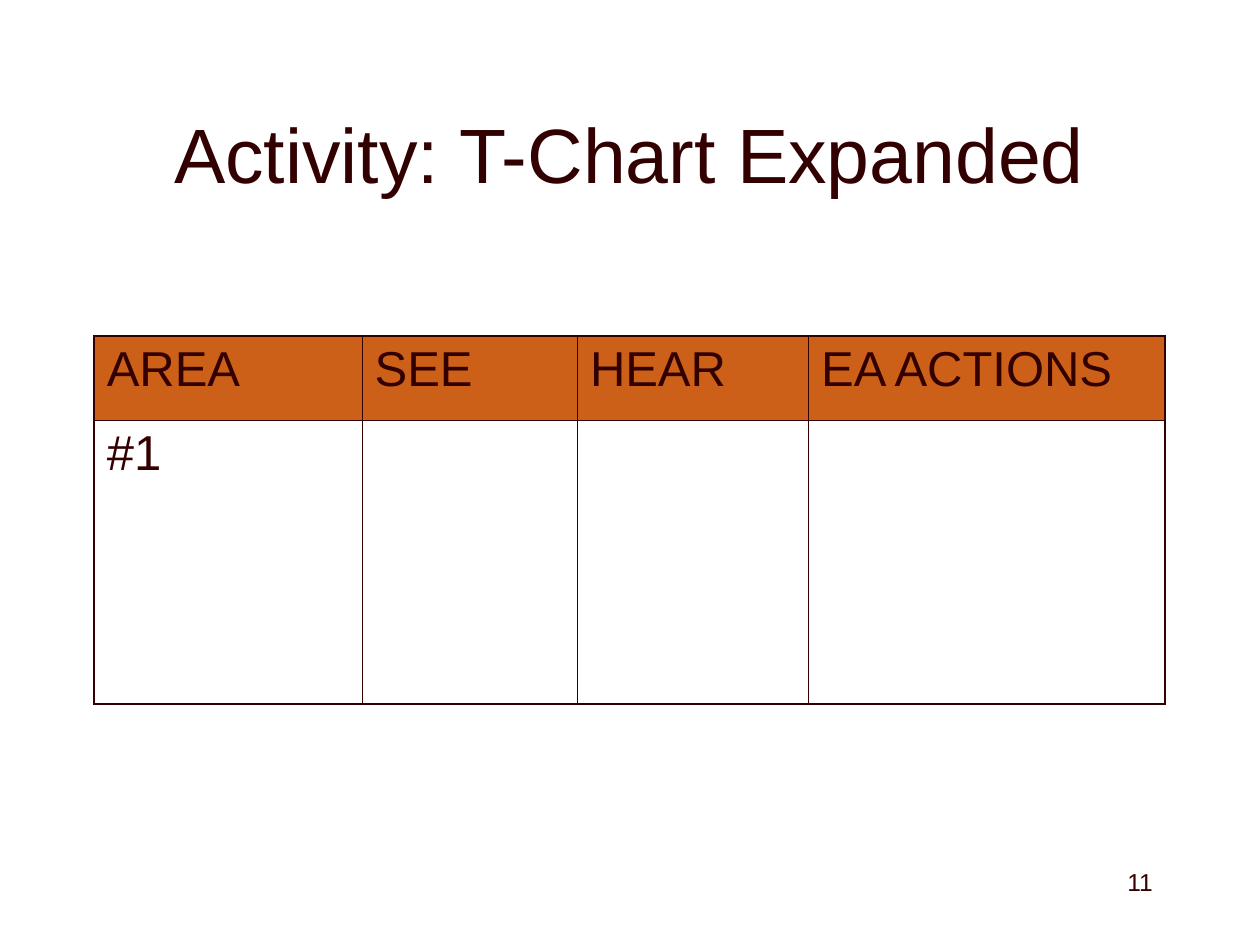
"""Build the expanded T-chart activity slide."""
import lxml.etree
import pptx
import pptx.dml.color
import pptx.enum.text
import pptx.oxml.ns
import pptx.util

Cm = pptx.util.Cm
Pt = pptx.util.Pt
ALIGN = pptx.enum.text.PP_ALIGN
ANCHOR = pptx.enum.text.MSO_ANCHOR

DARK = "330000"
FILLS = ["CC6018", None]
ROWS = [["AREA", "SEE", "HEAR", "EA ACTIONS"], ["#1", "", "", ""]]
WIDTHS = [5.4, 4.34, 4.66, 7.19]
HEIGHTS = [1.7, 5.72]
LEFT, TOP = 1.9, 6.77
THICK, THIN = 1.08, 0.45
TEXTS = [
    {"text": "11", "box": (18.21, 17.35, 5.28, 1.27), "size": 14,
     "color": DARK, "align": ALIGN.RIGHT, "anchor": ANCHOR.TOP},
    {"text": "Activity: T-Chart Expanded", "box": (1.9, 1.48, 21.59, 3.18),
     "size": 44, "color": "320000", "align": ALIGN.CENTER,
     "anchor": ANCHOR.MIDDLE},
]


def rgb(code):
    return pptx.dml.color.RGBColor.from_string(code)


def apply(item, form):
    for name, value in form.items():
        setattr(item, name, value)


def style(part, size, color):
    apply(part.font, {"name": "Arial", "size": Pt(size), "bold": False})
    part.font.color.rgb = rgb(color)


def label(slide, entry):
    box = slide.shapes.add_textbox(*map(Cm, entry["box"]))
    frame = box.text_frame
    apply(frame, {"text": entry["text"], "word_wrap": True,
                  "vertical_anchor": entry["anchor"]})
    part = frame.paragraphs[0]
    part.alignment = entry["align"]
    style(part, entry["size"], entry["color"])


def border(cell, edges):
    props = cell._tc.get_or_add_tcPr()
    name = pptx.oxml.ns.qn
    for side, outer in edges.items():
        line = lxml.etree.SubElement(props, name(f"a:ln{side}"))
        line.set("w", str(Pt(THICK if outer else THIN)))
        fill = lxml.etree.SubElement(line, name("a:solidFill"))
        lxml.etree.SubElement(fill, name("a:srgbClr")).set("val", DARK)


def chart(slide):
    count, span = len(ROWS), len(WIDTHS)
    size = LEFT, TOP, sum(WIDTHS), sum(HEIGHTS)
    table = slide.shapes.add_table(count, span, *map(Cm, size)).table
    apply(table, {"first_row": False, "horz_banding": False})
    for col, width in zip(table.columns, WIDTHS):
        col.width = Cm(width)
    for row, height in zip(table.rows, HEIGHTS):
        row.height = Cm(height)
    for r, (words, shade) in enumerate(zip(ROWS, FILLS)):
        for c, word in enumerate(words):
            cell = table.cell(r, c)
            cell.text = word
            style(cell.text_frame.paragraphs[0], 28, DARK)
            border(cell, {"L": c == 0, "R": c == span - 1,
                          "T": r == 0, "B": r == count - 1})
            if shade:
                cell.fill.solid()
                cell.fill.fore_color.rgb = rgb(shade)
            else:
                cell.fill.background()


def main():
    deck = pptx.Presentation()
    apply(deck, {"slide_width": Cm(25.4), "slide_height": Cm(19.05)})
    slide = deck.slides.add_slide(deck.slide_layouts[6])
    for entry in TEXTS:
        label(slide, entry)
    chart(slide)
    deck.save("out.pptx")


if __name__ == "__main__":
    main()
